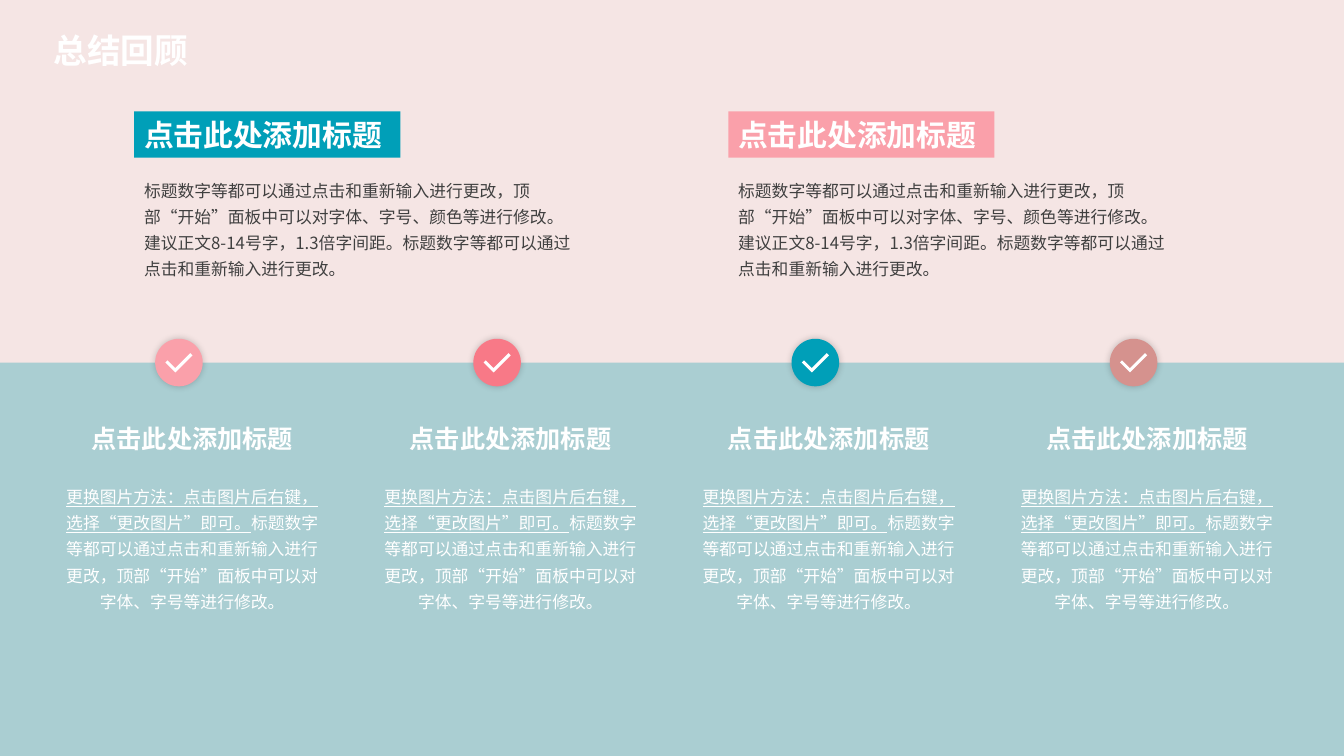
from pptx import Presentation
from pptx.util import Pt
from pptx.dml.color import RGBColor as RGB
from pptx.enum.shapes import MSO_SHAPE as Shape
from pptx.enum.text import PP_ALIGN as Align
from pptx.oxml import parse_xml
from pptx.oxml.ns import nsdecls, qn
from lxml.etree import SubElement

hues = {"bg": "F5E5E4", "band": "AACED2", "teal": "009FB8", "pink": "FAA0AA",
        "rose": "F87987", "clay": "D5928E", "white": "FFFFFF", "text": "404040"}
sans = "Noto Sans CJK SC"
head = "点击此处添加标题"
body = ("标题数字等都可以通过点击和重新输入进行更改，顶部“开始”面板中可以对字体、"
        "字号、颜色等进行修改。建议正文8-14号字，1.3倍字间距。"
        "标题数字等都可以通过点击和重新输入进行更改。")
tip = "更换图片方法：点击图片后右键，选择“更改图片”即可。"
note = ("标题数字等都可以通过点击和重新输入进行更改，"
        "顶部“开始”面板中可以对字体、字号等进行修改。")


def block(home, kind, box, hue):
    item = home.add_shape(kind, *[Pt(n) for n in box])
    item.shadow.inherit = False
    item.fill.solid()
    item.fill.fore_color.rgb = RGB.from_string(hues[hue])
    item.line.fill.background()
    return item


def write(item, runs, size, hue="white", font=sans, bold=False, align=Align.LEFT, gap=None):
    frame = item.text_frame
    frame.word_wrap = True
    para = frame.paragraphs[0]
    para.alignment = align
    para.line_spacing = gap
    for text, under in runs:
        run = para.add_run()
        run.text = text
        run.font.size = Pt(size)
        run.font.name = font
        run.font.bold = bold
        run.font.underline = under
        run.font.color.rgb = RGB.from_string(hues[hue])
        SubElement(run.font._element, qn("a:ea")).set("typeface", sans)


# Slide and background
deck = Presentation()
deck.slide_width, deck.slide_height = Pt(960), Pt(540)
slide = deck.slides.add_slide(deck.slide_layouts[6])
slide.background.fill.solid()
slide.background.fill.fore_color.rgb = RGB.from_string(hues["bg"])
items = slide.shapes
block(items, Shape.RECTANGLE, (0, 259, 960, 281), "band")

# Page title
title = items.add_textbox(Pt(31.2), Pt(18), Pt(400), Pt(42))
write(title, [("总结回顾", False)], 24, bold=True)

# Two topics on top
for left, hue in ((95.8, "teal"), (520.2, "pink")):
    text = items.add_textbox(Pt(left), Pt(121), Pt(324), Pt(83))
    write(text, [(body, False)], 12, "text", gap=1.3)
    label = block(items, Shape.RECTANGLE, (left, 79.6, 190.2, 33), hue)
    write(label, [(head, False)], 21.3, font="Arial", bold=True)

# Four columns with a tick badge
for col, hue in enumerate(("pink", "rose", "teal", "clay")):
    left = 36.8 + col * 227.3
    badge = items.add_group_shape().shapes
    disc = block(badge, Shape.OVAL, (left + 74, 242, 34, 34), hue)
    glow = disc._element.spPr.find(qn("a:effectLst"))
    glow.append(parse_xml(
        f'<a:outerShdw {nsdecls("a")} blurRad="63500" dist="0" dir="0" rotWithShape="0">'
        '<a:srgbClr val="000000"><a:alpha val="20000"/></a:srgbClr></a:outerShdw>'))
    tick = block(badge, Shape.CORNER, (left + 82.4, 251.3, 17.3, 10.1), "white")
    tick.rotation = 315
    tick.adjustments[0], tick.adjustments[1] = 0.218, 0.206

    text = items.add_textbox(Pt(left), Pt(339.8), Pt(201), Pt(110))
    write(text, [(tip, True), (note, False)], 12, align=Align.CENTER, gap=1.3)
    name = items.add_textbox(Pt(left), Pt(292.3), Pt(201), Pt(39))
    write(name, [(head, False)], 18, font="TeX Gyre Adventor", bold=True,
          align=Align.CENTER, gap=1.3)

deck.save("out.pptx")
